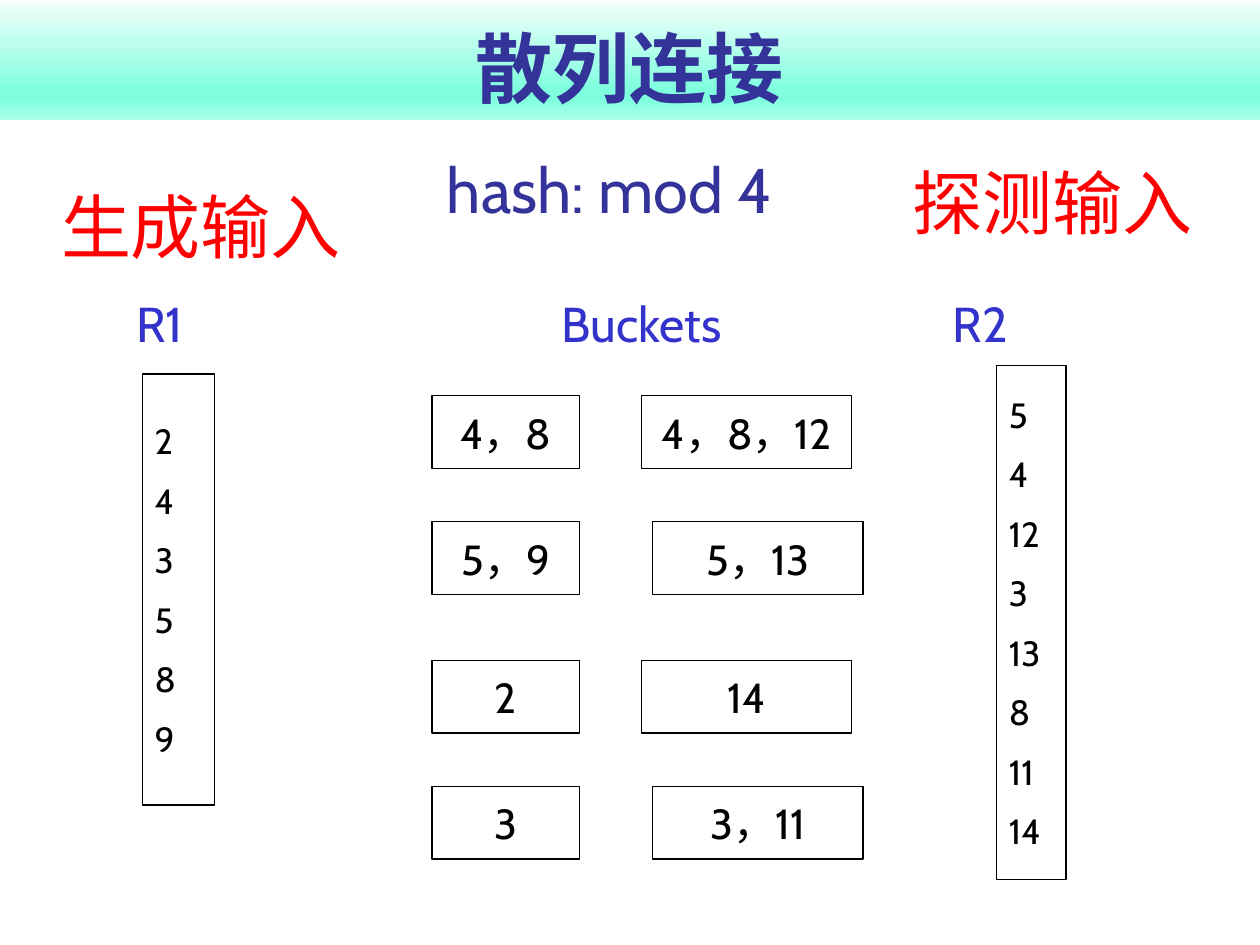
from lxml.etree import SubElement
from pptx import Presentation
from pptx.dml.color import RGBColor
from pptx.enum.shapes import MSO_SHAPE
from pptx.enum.text import MSO_ANCHOR as ANCHOR, MSO_AUTO_SIZE as AUTO, PP_ALIGN as ALIGN
from pptx.oxml.ns import qn
from pptx.util import Cm, Pt

FONT = "Cabin"
NAVY, BLUE, RED, BLACK, WHITE = "333399", "3333CC", "FF0000", "000000", "FFFFFF"


def rgb(value):
    """Turn a hex string into a colour."""
    return RGBColor.from_string(value)


def write(shape, text, size=24, color=BLACK, bold=False, align=ALIGN.CENTER,
          anchor=ANCHOR.MIDDLE, wrap=True, before=0, spacing=None, tabs=()):
    """Fill a shape with text, one paragraph for each line."""
    tf = shape.text_frame
    tf.auto_size = AUTO.NONE
    tf.word_wrap = wrap
    tf.vertical_anchor = anchor
    for i, line in enumerate(text.split("\n")):
        p = tf.paragraphs[0] if i == 0 else tf.add_paragraph()
        if tabs:
            stops = SubElement(p._p.get_or_add_pPr(), qn("a:tabLst"))
            for pos in tabs:
                SubElement(stops, qn("a:tab"), pos=str(Cm(pos)), algn="l")
        p.alignment = align
        p.space_before = Pt(before if i else 0)
        if spacing:
            p.line_spacing = spacing
        r = p.add_run()
        r.text = line
        r.font.name, r.font.size, r.font.bold = FONT, Pt(size), bold
        r.font.color.rgb = rgb(color)


def add_label(slide, box, text, **fmt):
    """Add a text box."""
    write(slide.shapes.add_textbox(*map(Cm, box)), text, **fmt)


def add_box(slide, box, text, **fmt):
    """Add a white rectangle with a thin black outline."""
    sp = slide.shapes.add_shape(MSO_SHAPE.RECTANGLE, *map(Cm, box))
    sp.shadow.inherit = False
    sp.fill.solid()
    sp.fill.fore_color.rgb = rgb(WHITE)
    sp.line.color.rgb = rgb(BLACK)
    sp.line.width = Pt(0.75)
    write(sp, text, **fmt)


def add_title(slide, box, text):
    """Place the title on its green gradient band."""
    title = slide.shapes.title
    title.left, title.top, title.width, title.height = map(Cm, box)
    title.fill.gradient()
    title.fill.gradient_angle = 270
    stops = title._element.spPr.find(".//" + qn("a:gsLst"))
    for stop in list(stops):
        stops.remove(stop)
    for pos, color in ((0, "F1FFFB"), (74, "80FFDE"), (83, "80FFDE"), (100, "AAFFE9")):
        stop = SubElement(stops, qn("a:gs"), pos=str(pos * 1000))
        SubElement(stop, qn("a:srgbClr"), val=color)
    write(title, text, size=44, color=NAVY, bold=True, anchor=ANCHOR.BOTTOM)


def add_relation(slide, box, values):
    """Draw a relation as a tall box with one value on each line."""
    add_box(slide, box, "\n".join(map(str, values)), size=20,
            align=ALIGN.JUSTIFY, before=10)


def add_buckets(slide, box, rows):
    """Draw the build and probe boxes of every bucket."""
    left, top, width, height = box
    for down, shift, build, probe in rows:
        add_box(slide, (left, top + down, 2.97, height), build, wrap=False)
        add_box(slide, (left + width - 4.24 + shift, top + down, 4.24, height),
                probe, wrap=False)


def main():
    """Build the hash join slide."""
    prs = Presentation()
    prs.slide_width, prs.slide_height = Cm(25.4), Cm(19.05)
    slide = prs.slides.add_slide(prs.slide_layouts[5])

    add_title(slide, (0, 0.05, 25.4, 2.36), "散列连接")
    add_label(slide, (1.5, 2.51, 21.59, 2.18), "hash: mod 4",
              size=36, color=NAVY, anchor=ANCHOR.BOTTOM)
    add_label(slide, (1.9, 5.92, 21.59, 1.5), "\tR1\tBuckets\tR2", size=28, color=BLUE,
              align=ALIGN.LEFT, anchor=ANCHOR.TOP, spacing=0.9, tabs=(0.6, 9.18, 17.06))
    for left, top, text in ((0.94, 3.58, "生成输入"), (18.11, 3.1, "探测输入")):
        add_label(slide, (left, top, 6.22, 1.96), text, size=40, color=RED,
                  anchor=ANCHOR.TOP, wrap=False)

    add_relation(slide, (2.87, 7.54, 1.45, 8.69), (2, 4, 3, 5, 8, 9))
    add_relation(slide, (20.09, 7.37, 1.4, 10.36), (5, 4, 12, 3, 13, 8, 11, 14))
    add_buckets(slide, (8.71, 7.98, 8.46, 1.47), (
        (0, 0, "4，8", "4，8，12"),
        (2.54, 0.23, "5，9", "5，13"),
        (5.33, 0, "2", "14"),
        (7.87, 0.23, "3", "3，11"),
    ))
    prs.save("out.pptx")


if __name__ == "__main__":
    main()
